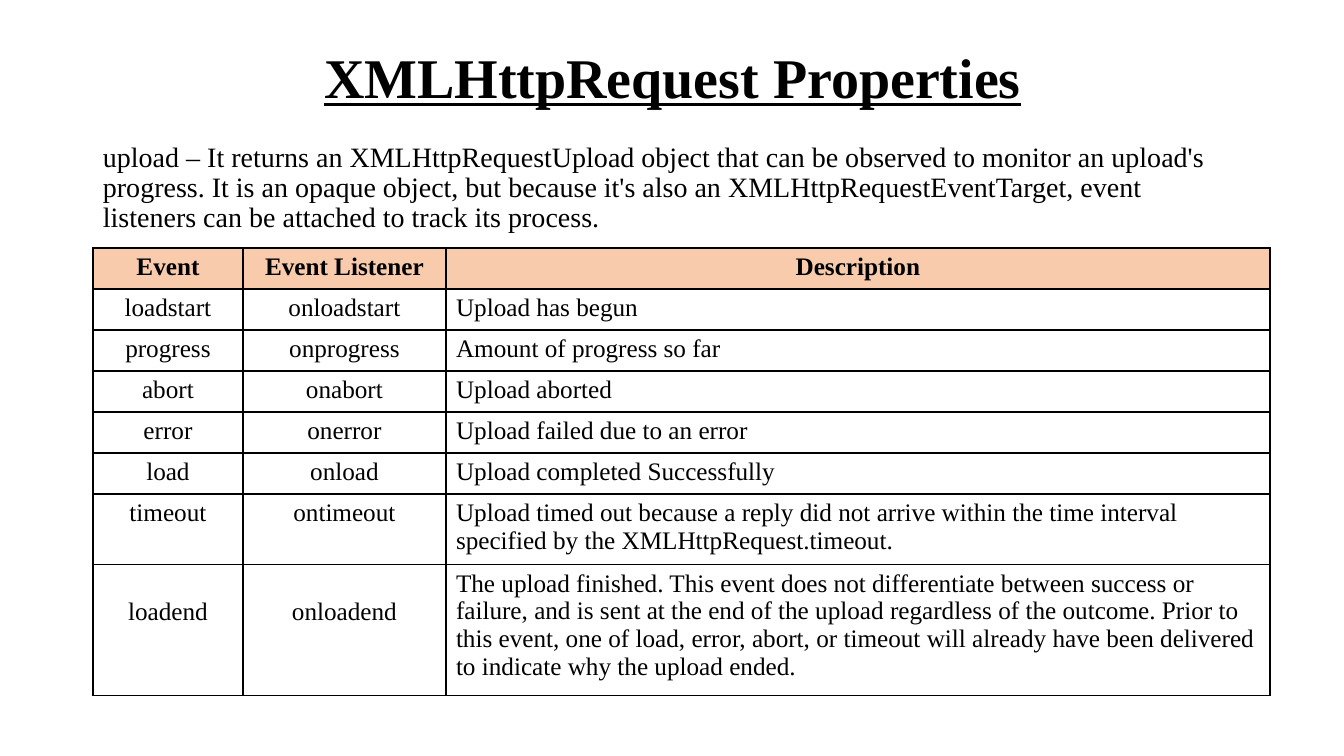
from dataclasses import dataclass
from lxml.etree import SubElement
from pptx import Presentation
from pptx.dml.color import RGBColor as RGB
from pptx.enum.text import MSO_ANCHOR as Anchor, MSO_AUTO_SIZE as Fit, PP_ALIGN as Align
from pptx.oxml.ns import qn
from pptx.util import Pt

PX = 914400 / 100.8


@dataclass(frozen=True)
class Theme:
    font: str = "Times New Roman"
    ink: str = "000000"
    head: str = "F8CBAD"
    title: int = 40
    body: int = 20
    cell: int = 18
    rule: int = 1


THEME = Theme()

TITLE = "XMLHttpRequest Properties"
INTRO = (
    "upload – It returns an XMLHttpRequestUpload object that can be observed "
    "to monitor an upload's progress. It is an opaque object, but because it's "
    "also an XMLHttpRequestEventTarget, event listeners can be attached to "
    "track its process."
)
HEADS = ("Event", "Event Listener", "Description")
EVENTS = {
    "loadstart": "Upload has begun",
    "progress": "Amount of progress so far",
    "abort": "Upload aborted",
    "error": "Upload failed due to an error",
    "load": "Upload completed Successfully",
    "timeout": "Upload timed out because a reply did not arrive within the time "
    "interval specified by the XMLHttpRequest.timeout.",
    "loadend": "The upload finished. This event does not differentiate between "
    "success or failure, and is sent at the end of the upload regardless of the "
    "outcome. Prior to this event, one of load, error, abort, or timeout will "
    "already have been delivered to indicate why the upload ended.",
}
COLS = (150, 203, 824)
ROWS = (41,) * 6 + (41, 66, 122)[1:]
DROP = 33  # top inset that lowers the short cells of the last row


def px(n):
    return round(n * PX)


def write(frame, text, size, align=Align.LEFT, bold=False, line=None):
    para = frame.paragraphs[0]
    para.alignment = align
    if line:
        para.line_spacing = line
    run = para.add_run()
    run.text = text
    font = run.font
    font.name, font.size, font.bold = THEME.font, Pt(size), bold
    font.color.rgb = RGB.from_string(THEME.ink)
    return font


def add_title(slide, box):
    shape = slide.shapes.title
    shape.left, shape.top, shape.width, shape.height = map(px, box)
    frame = shape.text_frame
    frame.auto_size = Fit.NONE
    frame.vertical_anchor = Anchor.MIDDLE
    font = write(frame, TITLE, THEME.title, Align.CENTER, True, 0.9)
    font.underline = True


def add_intro(slide, box):
    frame = slide.shapes.add_textbox(*map(px, box)).text_frame
    frame.word_wrap = True
    write(frame, INTRO, THEME.body, line=0.9)


def edge(cell):
    """Rule all four sides of a cell."""
    props = cell._tc.get_or_add_tcPr()
    for side in "LRTB":
        line = SubElement(props, qn(f"a:ln{side}"), w=str(Pt(THEME.rule)))
        fill = SubElement(line, qn("a:solidFill"))
        SubElement(fill, qn("a:srgbClr"), val=THEME.ink)


def add_events(slide, left, top):
    data = [HEADS] + [(name, "on" + name, note) for name, note in EVENTS.items()]
    box = map(px, (left, top, sum(COLS), sum(ROWS)))
    table = slide.shapes.add_table(len(data), len(COLS), *box).table
    table.first_row = table.horz_banding = False
    for col, width in zip(table.columns, COLS):
        col.width = px(width)
    for row, height in zip(table.rows, ROWS):
        row.height = px(height)
    for r, texts in enumerate(data):
        for c, text in enumerate(texts):
            cell = table.cell(r, c)
            head, note = r == 0, c == len(COLS) - 1
            edge(cell)
            if head:
                cell.fill.solid()
                cell.fill.fore_color.rgb = RGB.from_string(THEME.head)
            else:
                cell.fill.background()
            if r == len(data) - 1 and not note:
                cell.margin_top = px(DROP)
            align = Align.LEFT if note and not head else Align.CENTER
            write(cell.text_frame, text, THEME.cell, align, head)


def main():
    deck = Presentation()
    deck.slide_width, deck.slide_height = px(1344), px(756)
    slide = deck.slides.add_slide(deck.slide_layouts[5])
    add_title(slide, (93, 7, 1159, 146))
    add_intro(slide, (93, 138, 1159, 136))
    add_events(slide, 93, 248)
    deck.save("out.pptx")


if __name__ == "__main__":
    main()
